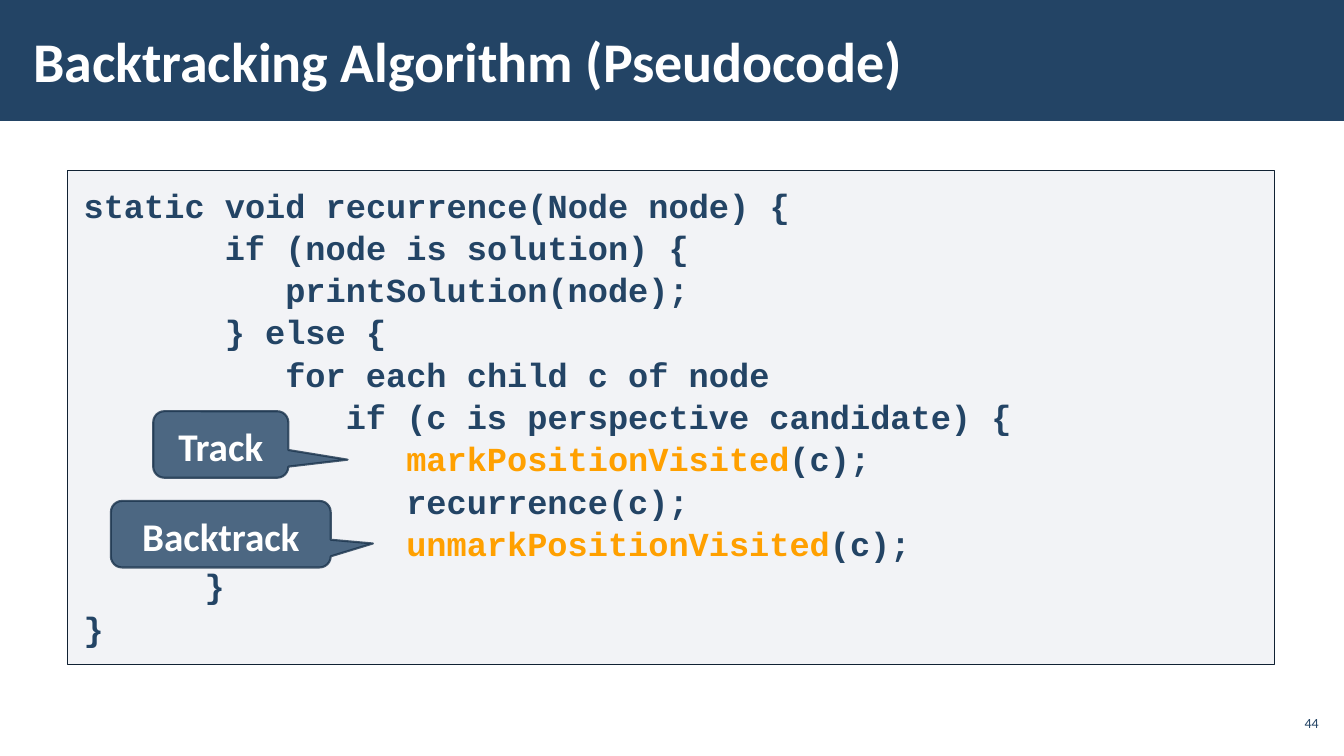
from pptx import Presentation
from pptx.dml.color import RGBColor
from pptx.enum.shapes import MSO_SHAPE
from pptx.enum.text import MSO_ANCHOR, PP_ALIGN
from pptx.oxml.ns import qn
from pptx.util import Inches, Pt
from lxml.etree import SubElement

NAVY = RGBColor(0x23, 0x44, 0x65)
DARK = RGBColor(0x11, 0x22, 0x33)
EDGE = RGBColor(0x1A, 0x33, 0x4C)
GREY = RGBColor(0xAD, 0xB4, 0xC3)
ORANGE = RGBColor(0xFF, 0xA0, 0x00)
WHITE = RGBColor(0xFF, 0xFF, 0xFF)

CODE_FONT = dict(name="Courier New", size=Pt(24), bold=True)
CHAR_WIDTH = 0.2  # inches per Courier New character at 24 pt

# Each line: indent in characters, then (text, colour) runs
CODE = [
    (0, [("static void recurrence(Node node) {", NAVY)]),
    (7, [("if (node is solution) {", NAVY)]),
    (10, [("printSolution(node);", NAVY)]),
    (7, [("} else {", NAVY)]),
    (10, [("for each child c of node", NAVY)]),
    (13, [("if (c is perspective candidate) {", NAVY)]),
    (16, [("markPositionVisited", ORANGE), ("(c);", NAVY)]),
    (16, [("recurrence(c);", NAVY)]),
    (16, [("unmarkPositionVisited", ORANGE), ("(c);", NAVY)]),
    (6, [("}", NAVY)]),
    (0, [("}", NAVY)]),
]

# Each callout: text, box, tip offset as fractions of the box
CALLOUTS = [
    ("Track", (1.52, 4.08, 1.34, 0.66), (0.939, 0.229)),
    ("Backtrack", (1.1, 4.97, 2.18, 0.66), (0.692, 0.14)),
]


def set_alpha(properties, percent):
    """Make every solid colour directly under the element translucent."""
    for color in properties.findall(f"{qn('a:solidFill')}/{qn('a:srgbClr')}"):
        SubElement(color, qn("a:alpha"), val=str(percent * 1000))


def add_box(s, kind, box, fill, line=None, width=1):
    sp = s.shapes.add_shape(kind, *map(Inches, box))
    sp.shadow.inherit = False
    sp.fill.solid()
    sp.fill.fore_color.rgb = fill
    if line is None:
        sp.line.fill.background()
    else:
        sp.line.color.rgb = line
        sp.line.width = Pt(width)
    return sp


def set_frame(tf, margin_x, margin_y, anchor=MSO_ANCHOR.MIDDLE):
    formats = dict(word_wrap=True, vertical_anchor=anchor,
                   margin_left=Inches(margin_x), margin_right=Inches(margin_x),
                   margin_top=Inches(margin_y), margin_bottom=Inches(margin_y))
    for key, value in formats.items():
        setattr(tf, key, value)


def add_run(p, text, color, font):
    r = p.add_run()
    r.text = text
    r.font.color.rgb = color
    for key, value in font.items():
        setattr(r.font, key, value)


def add_label(s, box, text, color, font, margin_x, align=PP_ALIGN.LEFT):
    tf = s.shapes.add_textbox(*map(Inches, box)).text_frame
    set_frame(tf, margin_x, 0.04)
    p = tf.paragraphs[0]
    p.alignment = align
    add_run(p, text, color, font)


def add_title_bar(s, box, title):
    left, top, width, height = box
    add_box(s, MSO_SHAPE.RECTANGLE, box, NAVY)
    add_label(s, (left + 0.21, top + 0.11, 10.4, height - 0.23), title, WHITE,
              dict(name="Calibri", size=Pt(40), bold=True), 0.12)


def add_code(s, box, lines):
    sp = add_box(s, MSO_SHAPE.RECTANGLE, box, GREY, DARK)
    set_alpha(sp._element.spPr, 15)
    tf = sp.text_frame
    set_frame(tf, 0.16, 0.12, MSO_ANCHOR.TOP)
    for i, (indent, runs) in enumerate(lines):
        p = tf.add_paragraph() if i else tf.paragraphs[0]
        p.alignment = PP_ALIGN.LEFT
        p.line_spacing = 1.05
        p._p.get_or_add_pPr().set("marL", str(Inches(indent * CHAR_WIDTH)))
        for text, color in runs:
            add_run(p, text, color, CODE_FONT)


def add_callout(s, text, box, tip):
    sp = add_box(s, MSO_SHAPE.ROUNDED_RECTANGULAR_CALLOUT, box, NAVY, EDGE, 1.5)
    for i, value in enumerate((*tip, 0.167)):
        sp.adjustments[i] = value
    set_alpha(sp._element.spPr, 80)
    set_alpha(sp.line._ln, 80)
    set_frame(sp.text_frame, 0.1, 0.05)
    p = sp.text_frame.paragraphs[0]
    formats = dict(alignment=PP_ALIGN.CENTER, line_spacing=1.05,
                   space_before=Pt(6), space_after=Pt(6))
    for key, value in formats.items():
        setattr(p, key, value)
    add_run(p, text, WHITE, dict(name="Calibri", size=Pt(28), bold=True))


def main():
    prs = Presentation()
    prs.slide_width, prs.slide_height = Inches(13.33), Inches(7.5)
    s = prs.slides.add_slide(prs.slide_layouts[6])
    add_title_bar(s, (0, 0, 13.33, 1.2), "Backtracking Algorithm (Pseudocode)")
    add_code(s, (0.67, 1.69, 11.97, 4.9), CODE)
    add_label(s, (12.65, 7, 0.47, 0.34), "44", NAVY,
              dict(name="Calibri", size=Pt(10)), 0.04, PP_ALIGN.RIGHT)
    for text, box, tip in CALLOUTS:
        add_callout(s, text, box, tip)
    prs.save("out.pptx")


if __name__ == "__main__":
    main()
